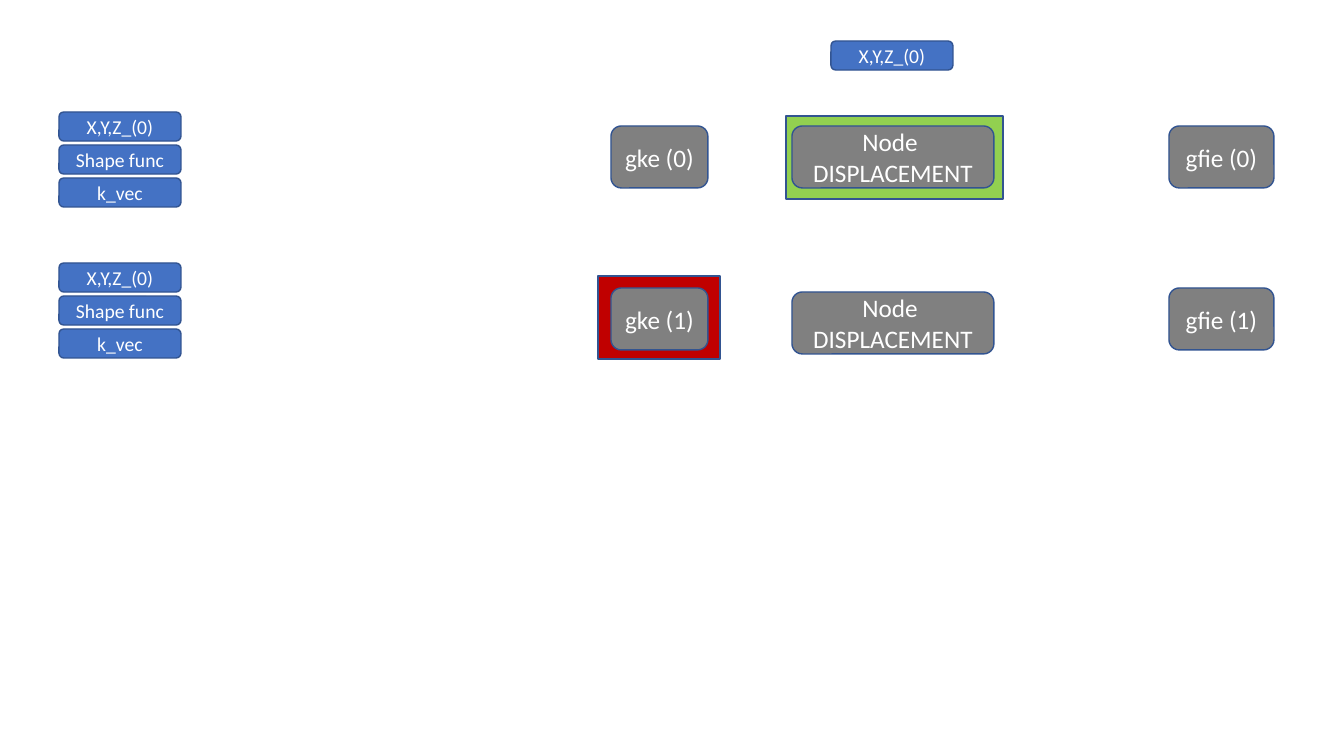
"""Build a slide of input blocks, stiffness, displacement and force boxes in two steps."""
from pptx import Presentation
from pptx.dml.color import RGBColor
from pptx.enum.shapes import MSO_SHAPE
from pptx.enum.text import MSO_ANCHOR, PP_ALIGN
from pptx.util import Emu, Pt

SCALE = 914400 / 100.8
BLUE, GRAY, GREEN, RED = "4472C4", "808080", "92D050", "C00000"
OUTLINE, WHITE = "325491", "FFFFFF"
INPUT_LEFT, INPUT_WIDTH, INPUT_HEIGHT, INPUT_PITCH = 59, 122, 29, 33
STEP_HEIGHT = 62


def pixels(count):
    return Emu(round(count * SCALE))


def add_box(kind, left, top, width, height, fill, text="", size=18):
    box = page.shapes.add_shape(kind, *map(pixels, (left, top, width, height)))
    box.shadow.inherit = False
    box.fill.solid()
    box.fill.fore_color.rgb = RGBColor.from_string(fill)
    box.line.color.rgb = RGBColor.from_string(OUTLINE)
    box.line.width = Pt(1)
    if text:
        frame = box.text_frame
        frame.text = text
        frame.word_wrap = True
        frame.vertical_anchor = MSO_ANCHOR.MIDDLE
        para = frame.paragraphs[0]
        para.alignment = PP_ALIGN.CENTER
        for span in para.runs:
            span.font.name = "Calibri"
            span.font.size = Pt(size)
            span.font.color.rgb = RGBColor.from_string(WHITE)


deck = Presentation()
deck.slide_width, deck.slide_height = pixels(1344), pixels(756)
page = deck.slides.add_slide(deck.slide_layouts[6])

add_box(MSO_SHAPE.RECTANGLE, 786, 116, 217, 83, GREEN)
add_box(MSO_SHAPE.RECTANGLE, 598, 276, 122, 83, RED)

inputs = [(831, 41, "X,Y,Z_(0)")]
for stack_top in (112, 263):
    for row, label in enumerate(("X,Y,Z_(0)", "Shape func", "k_vec")):
        inputs.append((INPUT_LEFT, stack_top + row * INPUT_PITCH, label))
for left, top, label in inputs:
    add_box(MSO_SHAPE.ROUNDED_RECTANGLE, left, top, INPUT_WIDTH, INPUT_HEIGHT, BLUE, label, 14)

for step, (top, node_top) in enumerate(((126, 126), (288, 292))):
    for left, box_top, width, label in (
        (611, top, 97, f"gke ({step})"),
        (792, node_top, 202, "Node \vDISPLACEMENT"),
        (1169, top, 105, f"gfie ({step})"),
    ):
        add_box(MSO_SHAPE.ROUNDED_RECTANGLE, left, box_top, width, STEP_HEIGHT, GRAY, label)

deck.save("out.pptx")
